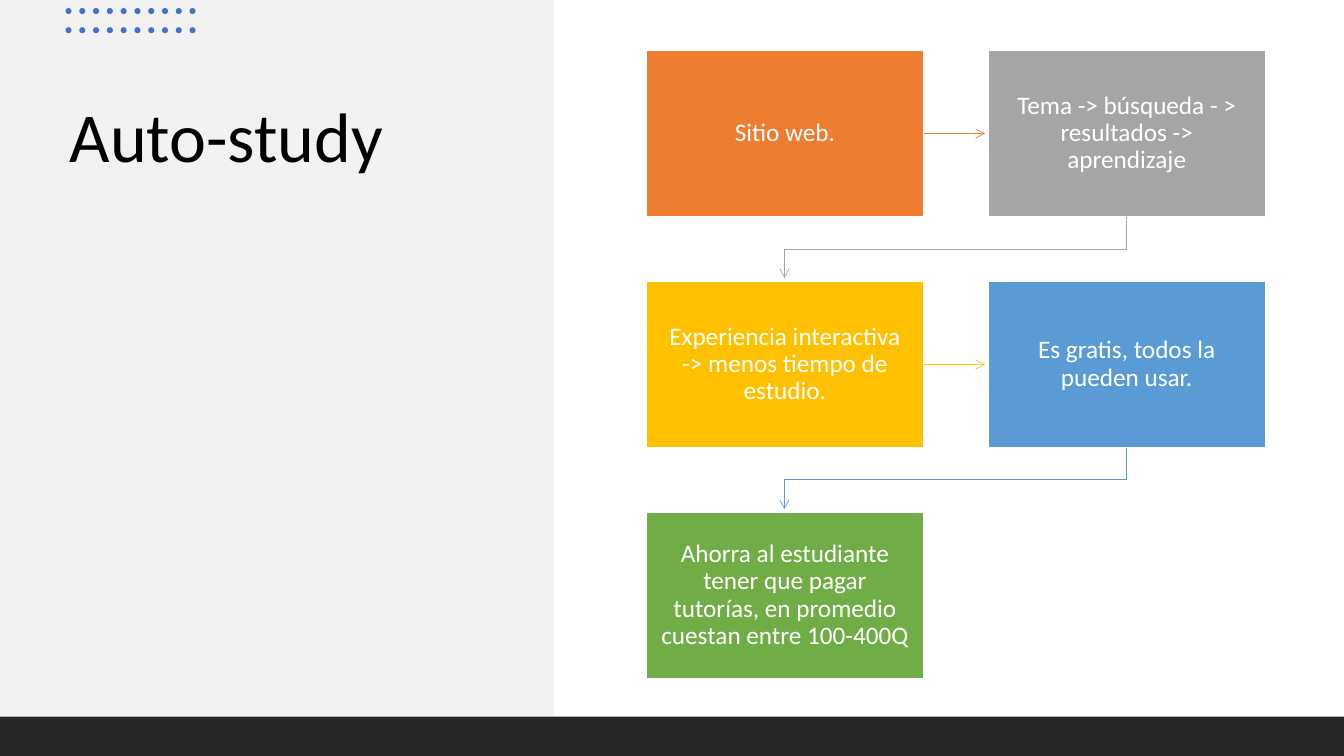
"""Build the Auto-study slide: a title panel beside a five-step flow."""
from lxml import etree
from pptx import Presentation
from pptx.dml.color import RGBColor
from pptx.enum.shapes import MSO_CONNECTOR, MSO_SHAPE
from pptx.enum.text import MSO_ANCHOR, MSO_AUTO_SIZE, PP_ALIGN
from pptx.oxml.ns import qn
from pptx.util import Pt

RECTANGLE, OVAL = MSO_SHAPE.RECTANGLE, MSO_SHAPE.OVAL
STRAIGHT = MSO_CONNECTOR.STRAIGHT
MIDDLE, LEFT, CENTER = MSO_ANCHOR.MIDDLE, PP_ALIGN.LEFT, PP_ALIGN.CENTER
NO_AUTOFIT = MSO_AUTO_SIZE.NONE

BLACK = RGBColor(0x00, 0x00, 0x00)
WHITE = RGBColor(0xFF, 0xFF, 0xFF)
PANEL_GRAY = RGBColor(0xF2, 0xF2, 0xF2)
FOOTER_DARK = RGBColor(0x26, 0x26, 0x26)
DOT_BLUE = RGBColor(0x44, 0x72, 0xC4)
ORANGE = RGBColor(0xED, 0x7D, 0x31)
GRAY = RGBColor(0xA5, 0xA5, 0xA5)
GOLD = RGBColor(0xFF, 0xC0, 0x00)
BLUE = RGBColor(0x5B, 0x9B, 0xD5)
GREEN = RGBColor(0x70, 0xAD, 0x47)

TITLE = "Auto-study"
STEPS = [
    ("Sitio web.", ORANGE),
    ("Tema -> búsqueda - > resultados -> aprendizaje", GRAY),
    ("Experiencia interactiva -> menos tiempo de estudio.", GOLD),
    ("Es gratis, todos la pueden usar.", BLUE),
    ("Ahorra al estudiante tener que pagar tutorías, en promedio cuestan entre 100-400Q", GREEN),
]

SCALE = 9144
SLIDE_W, SLIDE_H = 1333, 750
PANEL = (0, 0, 549, 710)
FOOTER = (0, 711, SLIDE_W, 39)
TITLE_BOX = (59, 78, 425, 121)
DOT_COLUMNS, DOT_ROWS, DOT_SIZE = 10, 2, 6
DOTS_LEFT, DOTS_RIGHT, DOTS_TOP, DOT_ROW_PITCH = 65, 188, 8, 19
STEP_COLUMNS, STEP_W, STEP_H = 2, 275, 165
STEPS_LEFT, STEPS_TOP, STEP_PITCH_X, STEP_PITCH_Y = 641, 50, 339, 229
ARROW_GAP, ELBOW_DROP = 3, 32

TITLE_FRAME = {"vertical_anchor": MIDDLE, "word_wrap": True, "auto_size": NO_AUTOFIT}
STEP_FRAME = TITLE_FRAME | {
    "margin_left": 13 * SCALE, "margin_right": 13 * SCALE,
    "margin_top": 14 * SCALE, "margin_bottom": 14 * SCALE,
}


def emu(box):
    return [round(length * SCALE) for length in box]


def apply(target, values):
    for name, value in values.items():
        setattr(target, name, value)


def write(frame, text, frame_format, alignment, size, color):
    frame.text = text
    apply(frame, frame_format)
    paragraph = frame.paragraphs[0]
    apply(paragraph, {"alignment": alignment, "line_spacing": 0.9})
    apply(paragraph.font, {"name": "Calibri", "size": Pt(size)})
    paragraph.font.color.rgb = color


def add_block(shapes, kind, box, color):
    block = shapes.add_shape(kind, *emu(box))
    block.shadow.inherit = False
    block.fill.solid()
    block.fill.fore_color.rgb = color
    block.line.fill.background()
    return block


def style_arrow(arrow, color):
    arrow.line.color.rgb = color
    arrow.line.width = Pt(0.5)
    etree.SubElement(arrow.get_or_add_ln(), qn("a:tailEnd"), type="arrow")


def step_origin(index):
    row, column = divmod(index, STEP_COLUMNS)
    return STEPS_LEFT + column * STEP_PITCH_X, STEPS_TOP + row * STEP_PITCH_Y


def add_step(shapes, index, text, color):
    step = add_block(shapes, RECTANGLE, (*step_origin(index), STEP_W, STEP_H), color)
    step.line.color.rgb = WHITE
    step.line.width = Pt(1)
    write(step.text_frame, text, STEP_FRAME, CENTER, 18, WHITE)
    return step


def add_across_arrow(shapes, index, step, color):
    left, top = step_origin(index)
    middle = top + STEP_H / 2
    end_x = left + STEP_PITCH_X - ARROW_GAP
    arrow = shapes.add_connector(STRAIGHT, *emu((left + STEP_W, middle, end_x, middle)))
    arrow.begin_connect(step, 3)
    style_arrow(arrow, color)
    etree.SubElement(arrow.element.spPr, qn("a:effectLst"))


def add_return_arrow(shapes, index, color):
    (left, top), (next_left, next_top) = step_origin(index), step_origin(index + 1)
    start_x, end_x = left + STEP_W // 2, next_left + STEP_W // 2
    bottom = top + STEP_H
    bend = bottom + ELBOW_DROP
    route = shapes.build_freeform(start_x, bottom, SCALE)
    route.add_line_segments(
        [(start_x, bend), (end_x, bend), (end_x, next_top - ARROW_GAP)], close=False)
    arrow = route.convert_to_shape()
    arrow.shadow.inherit = False
    arrow.fill.background()
    style_arrow(arrow, color)


def main():
    deck = Presentation()
    deck.slide_width, deck.slide_height = emu((SLIDE_W, SLIDE_H))
    slide = deck.slides.add_slide(deck.slide_layouts[5])
    shapes = slide.shapes

    panel = add_block(shapes, RECTANGLE, PANEL, PANEL_GRAY)
    title = shapes.title
    title.element.addprevious(panel.element)
    apply(title, dict(zip(("left", "top", "width", "height"), emu(TITLE_BOX))))
    write(title.text_frame, TITLE, TITLE_FRAME, LEFT, 50, BLACK)

    dots = shapes.add_group_shape().shapes
    dot_pitch = (DOTS_RIGHT - DOTS_LEFT) / (DOT_COLUMNS - 1)
    for column in range(DOT_COLUMNS):
        for row in range(DOT_ROWS):
            dot_box = (DOTS_LEFT + column * dot_pitch, DOTS_TOP + row * DOT_ROW_PITCH,
                       DOT_SIZE, DOT_SIZE)
            add_block(dots, OVAL, dot_box, DOT_BLUE)
    add_block(shapes, RECTANGLE, FOOTER, FOOTER_DARK)

    for index, (text, color) in enumerate(STEPS):
        step = add_step(shapes, index, text, color)
        if index == len(STEPS) - 1:
            continue
        if index % STEP_COLUMNS < STEP_COLUMNS - 1:
            add_across_arrow(shapes, index, step, color)
        else:
            add_return_arrow(shapes, index, color)

    deck.save("out.pptx")


if __name__ == "__main__":
    main()
